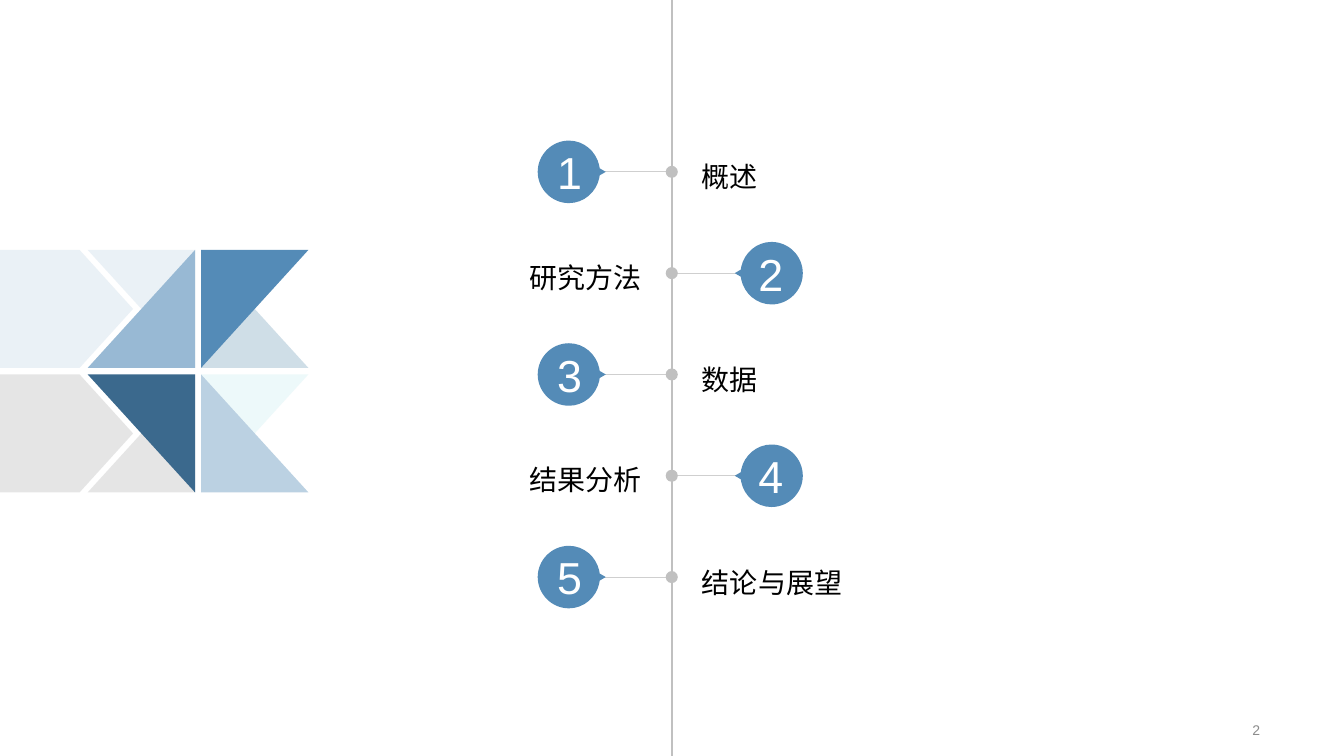
from lxml.etree import SubElement as Sub
from pptx import Presentation
from pptx.dml.color import RGBColor as Rgb
from pptx.enum.shapes import MSO_CONNECTOR as Con, MSO_SHAPE as Geo
from pptx.enum.text import MSO_ANCHOR as Anc, PP_ALIGN as Al
from pptx.oxml.ns import qn
from pptx.util import Pt

PX = 4572
WIDE, HIGH = 2667, 1500
HUES = {
    "sky": "98B9D4", "deep": "115B8A", "aqua": "A8E2E6", "gray": "808080",
    "pale": "BBD1E2", "blue": "548BB7", "navy": "3B698D", "axis": "C0C0C0",
    "link": "CFCFCF", "ink": "000000", "white": "FFFFFF", "page": "8C8C8C",
}
TOPICS = ["概述", "研究方法", "数据", "结果分析", "结论与展望"]
TILES = [
    (0, 0, 3, "sky", 20), (1, 0, 1, "deep", 20),
    (1, 1, 2, "aqua", 20), (0, 1, 0, "gray", 20),
    (1, 1, 1, "pale", 100), (1, 0, 2, "blue", 100),
    (0, 1, 3, "navy", 100), (0, 0, 0, "sky", 100),
]
BARS = ["sky", "gray"]
DROP = [
    (0, -62), (30, -62), (54, -40), (60, -13),
    (61, -7), (73, 0), (61, 7), (60, 13),
    (54, 40), (30, 62), (0, 62),
    (-34, 62), (-62, 34), (-62, 0),
    (-62, -34), (-34, -62), (0, -62),
]
BENDS = [0, 7, 10, 13]


def emu(*nums):
    return [round(n * PX) for n in nums]


def put(item, vals):
    for key, val in vals.items():
        setattr(item, key, val)


def paint(shape, hue, alpha=100):
    shape.shadow.inherit = False
    shape.line.fill.background()
    shape.fill.solid()
    shape.fill.fore_color.rgb = Rgb.from_string(HUES[hue])
    if alpha < 100:
        tone = shape.fill._xPr.find(".//" + qn("a:srgbClr"))
        Sub(tone, qn("a:alpha")).set("val", str(alpha * 1000))


def poly(slide, dots, hue, alpha=100):
    dots = [emu(*dot) for dot in dots]
    form = slide.shapes.build_freeform(*dots[0], scale=1)
    form.add_line_segments(dots[1:], close=True)
    shape = form.convert_to_shape()
    paint(shape, hue, alpha)
    return shape


def bend(shape, starts):
    legs = list(shape._element.iter(qn("a:lnTo")))
    for start in starts:
        trio = legs[start:start + 3]
        root = trio[0].getparent()
        curve = Sub(root, qn("a:cubicBezTo"))
        trio[0].addprevious(curve)
        for leg in trio:
            curve.append(leg[0])
            root.remove(leg)


def wire(slide, ends, hue, size):
    line = slide.shapes.add_connector(Con.STRAIGHT, *emu(*ends))
    line.line.color.rgb = Rgb.from_string(HUES[hue])
    line.line.width = Pt(size)
    Sub(line._element.spPr, qn("a:effectLst"))


def write(shape, text, size, hue, side, lead=1.0, pads=(0, 0, 0, 0)):
    frame = shape.text_frame
    left, top, right, low = emu(*pads)
    put(frame, {
        "word_wrap": True, "vertical_anchor": Anc.MIDDLE,
        "margin_left": left, "margin_top": top,
        "margin_right": right, "margin_bottom": low,
    })
    para = frame.paragraphs[0]
    put(para, {"alignment": side, "line_spacing": lead})
    run = para.add_run()
    run.text = text
    put(run.font, {"name": "Arial", "size": Pt(size)})
    run.font.color.rgb = Rgb.from_string(HUES[hue])


def label(slide, box, text, size, hue, side, **form):
    shape = slide.shapes.add_textbox(*emu(*box))
    write(shape, text, size, hue, side, **form)


def mosaic(slide, box):
    left, top, wide, high = box
    tall, span, step, drop = 234, 213, 225, 247
    start = left + wide - step - span

    def tile(col, row, skip, hue, alpha):
        x, y = start + col * step, top + row * drop
        ends = [(x, y), (x + span, y), (x + span, y + tall), (x, y + tall)]
        del ends[skip]
        poly(slide, ends, hue, alpha)

    for part in TILES[:6]:
        tile(*part)
    for row, hue in enumerate(BARS):
        y = top + row * drop
        poly(slide, [(left, y), (left + 158, y), (left + 264, y + tall / 2),
                     (left + 158, y + tall), (left, y + tall)], hue, 20)
    for part in TILES[6:]:
        tile(*part)


def badge(slide, x, y, text, side):
    shape = poly(slide, [(x + side * h, y + v) for h, v in DROP], "blue")
    bend(shape, BENDS)
    pads = (0, 0, 8, 0) if side > 0 else (8, 0, 0, 0)
    write(shape, text, 32, "white", Al.CENTER, pads=pads)


def agenda(slide, box):
    left, top, wide, high = box
    mid, first, step, gap = left + wide // 2, top + 341, 201, 60
    wire(slide, (mid, top, mid, top + high), "axis", 1.75)
    for i, topic in enumerate(TOPICS):
        y, side = first + i * step, 1 if i % 2 == 0 else -1
        hub = mid - 3 - side * 201
        wire(slide, (mid - side, y, hub + side * 68, y), "link", 0.5)
        if side > 0:
            area, align = (mid + gap, y - 63, 664, 132), Al.LEFT
        else:
            area, align = (mid - gap - 868, y - 65, 868, 132), Al.RIGHT
        label(slide, area, topic, 20, "ink", align, lead=1.2)
        dot = slide.shapes.add_shape(Geo.OVAL, *emu(mid - 12, y - 12, 24, 24))
        paint(dot, "axis")
        badge(slide, hub, y, str(i + 1), side)


def main():
    deck = Presentation()
    put(deck, {"slide_width": WIDE * PX, "slide_height": HIGH * PX})
    slide = deck.slides.add_slide(deck.slide_layouts[6])
    mosaic(slide, (0, 496, 612, 481))
    label(slide, (1884, 1425, 636, 46), "2", 10, "page", Al.RIGHT,
          pads=(20, 10, 20, 10))
    agenda(slide, (408, 0, 1851, HIGH))
    deck.save("out.pptx")


if __name__ == "__main__":
    main()
